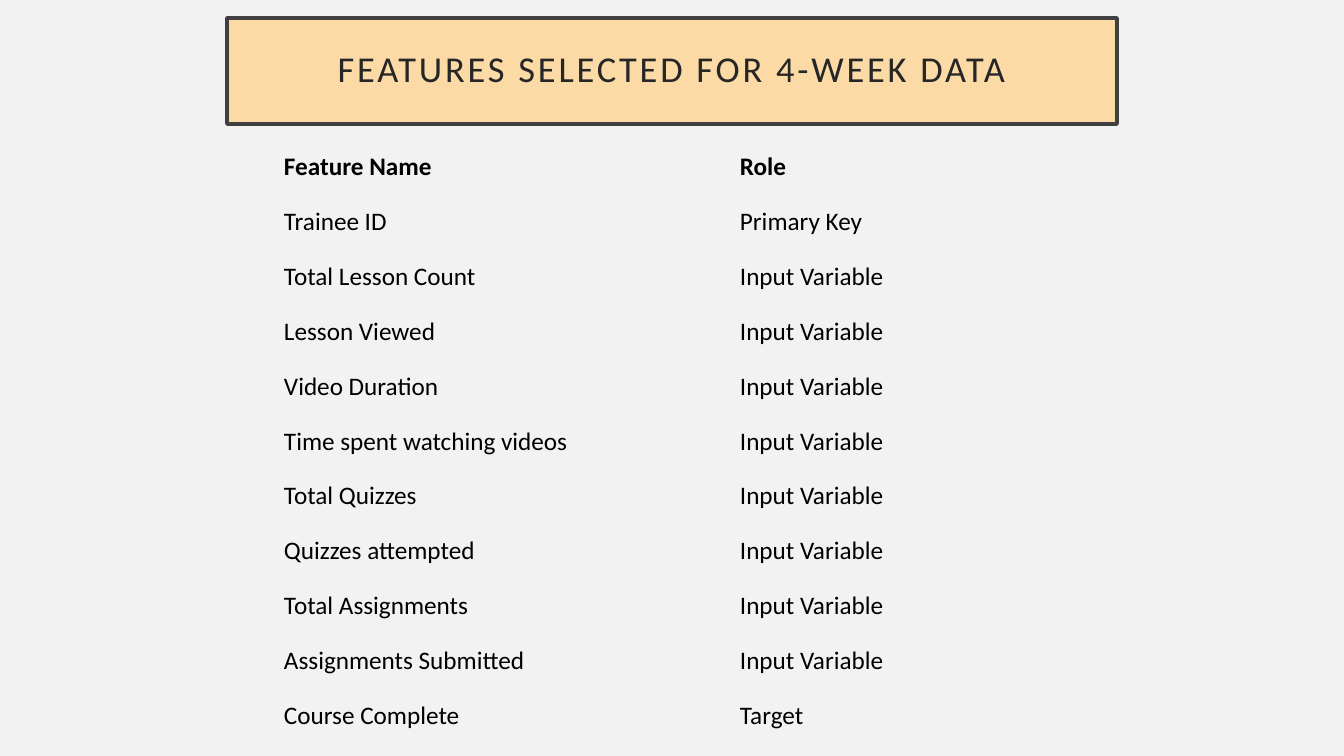
from dataclasses import dataclass

from pptx import Presentation
from pptx import util as u
from pptx.dml.color import RGBColor
from pptx.enum import text

EMU_PER_PX = 914400 / 100.8
NO_GRID_STYLE = "{2D5ABB26-0587-4C30-8999-92F81FD0307C}"


def px(length):
    return u.Emu(round(length * EMU_PER_PX))


@dataclass(frozen=True)
class Theme:
    font: str = "Calibri"
    background: str = "F2F2F2"
    banner: str = "FBDAA5"
    border: str = "404040"
    heading: str = "262626"
    body: str = "000000"
    heading_size: int = 26
    body_size: int = 18
    border_width: float = 2.5
    heading_spacing: int = 200


class SlideBuilder:
    def __init__(self, slide, theme):
        self.slide = slide
        self.theme = theme
        backdrop = slide.background.fill
        backdrop.solid()
        backdrop.fore_color.rgb = RGBColor.from_string(theme.background)

    def add_run(self, paragraph, words, size, color, bold=False):
        run = paragraph.add_run()
        run.text = words
        run.font.name = self.theme.font
        run.font.size = u.Pt(size)
        run.font.bold = bold
        run.font.color.rgb = RGBColor.from_string(color)
        return run

    def title(self, words, left, top, width, height, inset):
        theme = self.theme
        banner = self.slide.shapes.title
        banner.left, banner.top = px(left), px(top)
        banner.width, banner.height = px(width), px(height)
        banner.fill.solid()
        banner.fill.fore_color.rgb = RGBColor.from_string(theme.banner)
        banner.line.color.rgb = RGBColor.from_string(theme.border)
        banner.line.width = u.Pt(theme.border_width)
        frame = banner.text_frame
        frame.word_wrap = True
        frame.auto_size = text.MSO_AUTO_SIZE.NONE
        frame.vertical_anchor = text.MSO_ANCHOR.MIDDLE
        frame.margin_left = frame.margin_right = px(inset)
        frame.margin_top = frame.margin_bottom = px(inset)
        heading = frame.paragraphs[0]
        heading.alignment = text.PP_ALIGN.CENTER
        heading.line_spacing = 0.9
        run = self.add_run(heading, words, theme.heading_size, theme.heading)
        run.font._element.set("spc", str(theme.heading_spacing))

    def table(self, rows, left, top, column_widths, row_height):
        frame = self.slide.shapes.add_table(
            len(rows), len(column_widths), px(left), px(top),
            px(sum(column_widths)), px(row_height * len(rows)))
        features = frame.table
        features.first_row = features.horz_banding = False
        features._tbl.tblPr.find("{*}tableStyleId").text = NO_GRID_STYLE
        for column, width in zip(features.columns, column_widths):
            column.width = px(width)
        for row_index, (row, entries) in enumerate(zip(features.rows, rows)):
            row.height = px(row_height)
            for cell, entry in zip(row.cells, entries):
                self.cell(cell, entry, bold=row_index == 0)

    def cell(self, cell, words, bold):
        cell.fill.background()
        cell.vertical_anchor = text.MSO_ANCHOR.BOTTOM
        cell.margin_left = cell.margin_right = cell.margin_top = px(1)
        cell.margin_bottom = 0
        self.add_run(cell.text_frame.paragraphs[0], words,
                     self.theme.body_size, self.theme.body, bold)


def main():
    deck = Presentation()
    deck.slide_width, deck.slide_height = px(1344), px(756)
    title_only = deck.slide_layouts[5]
    builder = SlideBuilder(deck.slides.add_slide(title_only), Theme())

    input_features = [
        "Total Lesson Count",
        "Lesson Viewed",
        "Video Duration",
        "Time spent watching videos",
        "Total Quizzes",
        "Quizzes attempted",
        "Total Assignments",
        "Assignments Submitted",
    ]
    feature_roles = [
        ("Feature Name", "Role"),
        ("Trainee ID", "Primary Key"),
        *((feature, "Input Variable") for feature in input_features),
        ("Course Complete", "Target"),
    ]
    builder.table(feature_roles, 283, 127, (456, 294), 55)
    builder.title("FEATURES SELECTED FOR 4-WEEK DATA", 227, 18, 890, 106, 20)
    deck.save("out.pptx")


if __name__ == "__main__":
    main()
